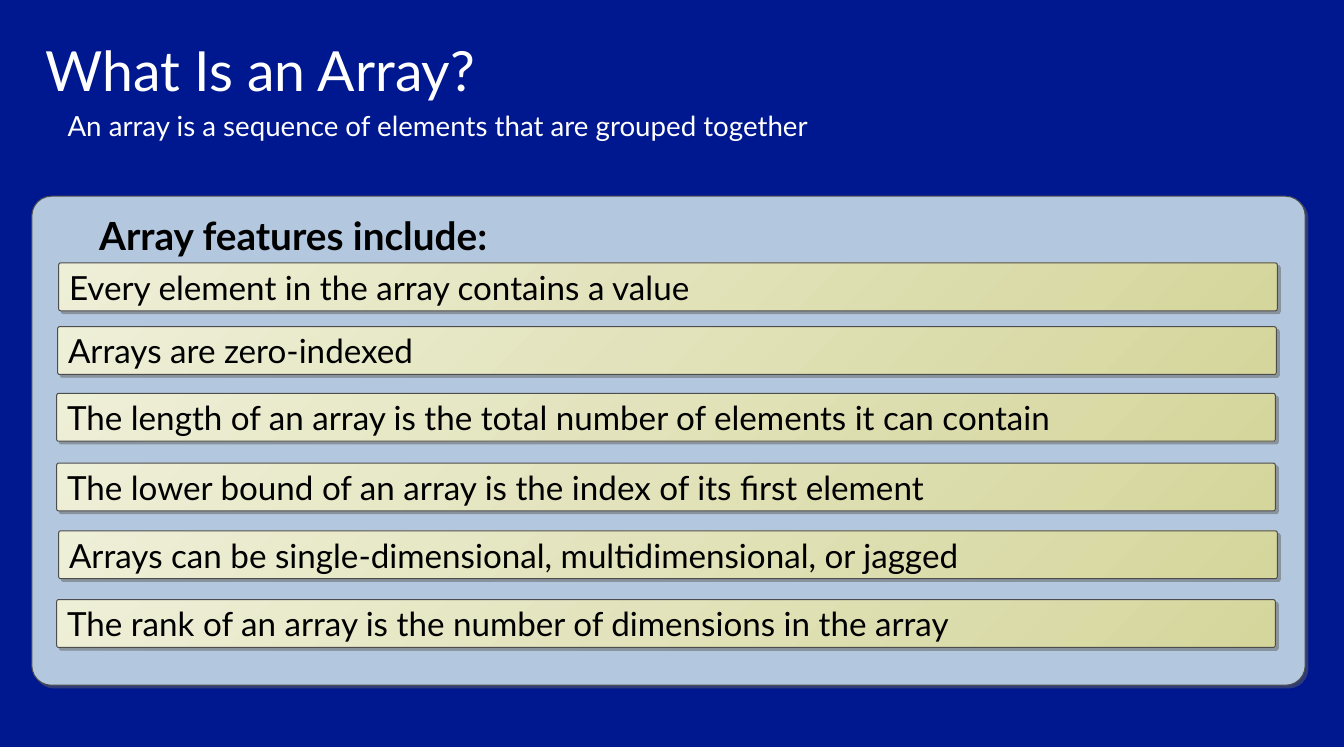
import lxml.etree
import pptx
import pptx.dml.color
import pptx.enum.shapes
import pptx.enum.text
import pptx.oxml.ns
import pptx.util

EMU_PER_PX = 9144
FONT = "Lato"
COLORS = {
    "background": "00188F",
    "white": "FFFFFF",
    "black": "000000",
    "panel": "B3C8DF",
    "bar_light": "EEEFD7",
    "bar_dark": "D5D69C",
    "outline": "4D4D4D",
    "shadow": "5F5F5F",
}
FEATURES = [
    (59, 264, "Every element in the array contains a value"),
    (58, 328, "Arrays are zero-indexed"),
    (57, 395, "The length of an array is the total number of elements it can contain"),
    (57, 465, "The lower bound of an array is the index of its first element"),
    (59, 533, "Arrays can be single-dimensional, multidimensional, or jagged"),
    (57, 602, "The rank of an array is the number of dimensions in the array"),
]


def px(length):
    return pptx.util.Emu(length * EMU_PER_PX)


def color(name):
    return pptx.dml.color.RGBColor.from_string(COLORS[name])


def write_text(shape, text, size, color_name, bold=False, align="LEFT", anchor="TOP",
               margins=(10, 5), wrap=True):
    frame = shape.text_frame
    frame.text = text
    frame.word_wrap = wrap
    frame.auto_size = pptx.enum.text.MSO_AUTO_SIZE.NONE
    frame.vertical_anchor = pptx.enum.text.MSO_ANCHOR[anchor]
    frame.margin_left = frame.margin_right = px(margins[0])
    frame.margin_top = frame.margin_bottom = px(margins[1])
    paragraph = frame.paragraphs[0]
    paragraph.alignment = pptx.enum.text.PP_ALIGN[align]
    font = paragraph.runs[0].font
    font.name = FONT
    font.size = pptx.util.Pt(size)
    font.bold = bold
    font.color.rgb = color(color_name)


def add_drop_shadow(shape):
    shape.shadow.inherit = False
    tag = pptx.oxml.ns.qn
    effects = shape._element.spPr.find(tag("a:effectLst"))
    shadow = lxml.etree.SubElement(
        effects, tag("a:outerShdw"), blurRad="0", dist="35560", dir="2700000",
        algn="ctr", rotWithShape="0")
    shade = lxml.etree.SubElement(shadow, tag("a:srgbClr"), val=COLORS["shadow"])
    lxml.etree.SubElement(shade, tag("a:alpha"), val="50000")


def add_rounded_box(slide, left, top, width, height):
    box = slide.shapes.add_shape(
        pptx.enum.shapes.MSO_SHAPE.ROUNDED_RECTANGLE,
        px(left), px(top), px(width), px(height))
    box.adjustments[0] = 0.04
    box.line.color.rgb = color("outline")
    box.line.width = pptx.util.Pt(0.75)
    add_drop_shadow(box)
    return box


def add_panel(slide):
    panel = add_rounded_box(slide, 32, 197, 1279, 491)
    panel.fill.solid()
    panel.fill.fore_color.rgb = color("panel")


def add_feature_bar(slide, left, top, text):
    bar = add_rounded_box(slide, left, top, 1224, 48)
    bar.fill.gradient()
    bar.fill.gradient_angle = 315
    for stop, name in zip(bar.fill.gradient_stops, ("bar_light", "bar_dark")):
        stop.color.rgb = color(name)
    write_text(bar, text, 24, "black", anchor="MIDDLE", margins=(10, 10))


def add_label(slide, left, top, width, height, text, size, color_name, **options):
    label = slide.shapes.add_textbox(px(left), px(top), px(width), px(height))
    write_text(label, text, size, color_name, **options)


def set_title(slide, text):
    title = slide.shapes.title
    title.left, title.top = px(30), px(32)
    title.width, title.height = px(1290), px(98)
    write_text(title, text, 40, "white", margins=(16, 4))


def main():
    presentation = pptx.Presentation()
    presentation.slide_width = px(1350)
    presentation.slide_height = px(750)
    slide = presentation.slides.add_slide(presentation.slide_layouts.get_by_name("Title Only"))
    slide.background.fill.solid()
    slide.background.fill.fore_color.rgb = color("background")

    set_title(slide, "What Is an Array?")
    add_label(slide, 58, 104, 1241, 44,
              "An array is a sequence of elements that are grouped together", 20, "white")
    add_panel(slide)
    add_label(slide, 75, 208, 439, 57, "Array features include:", 28, "black",
              bold=True, align="CENTER", wrap=False)
    for left, top, text in FEATURES:
        add_feature_bar(slide, left, top, text)

    presentation.save("out.pptx")


if __name__ == "__main__":
    main()
